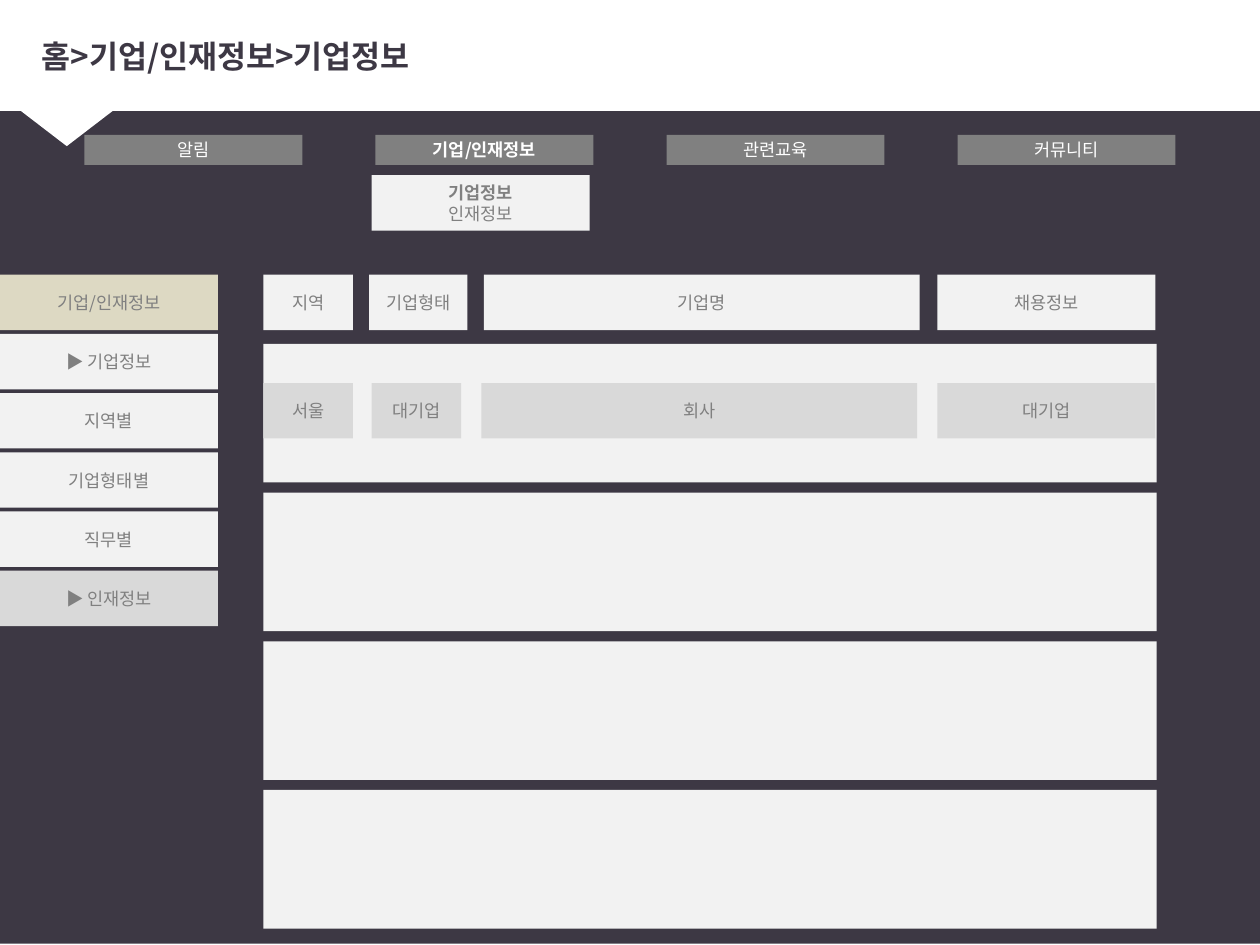
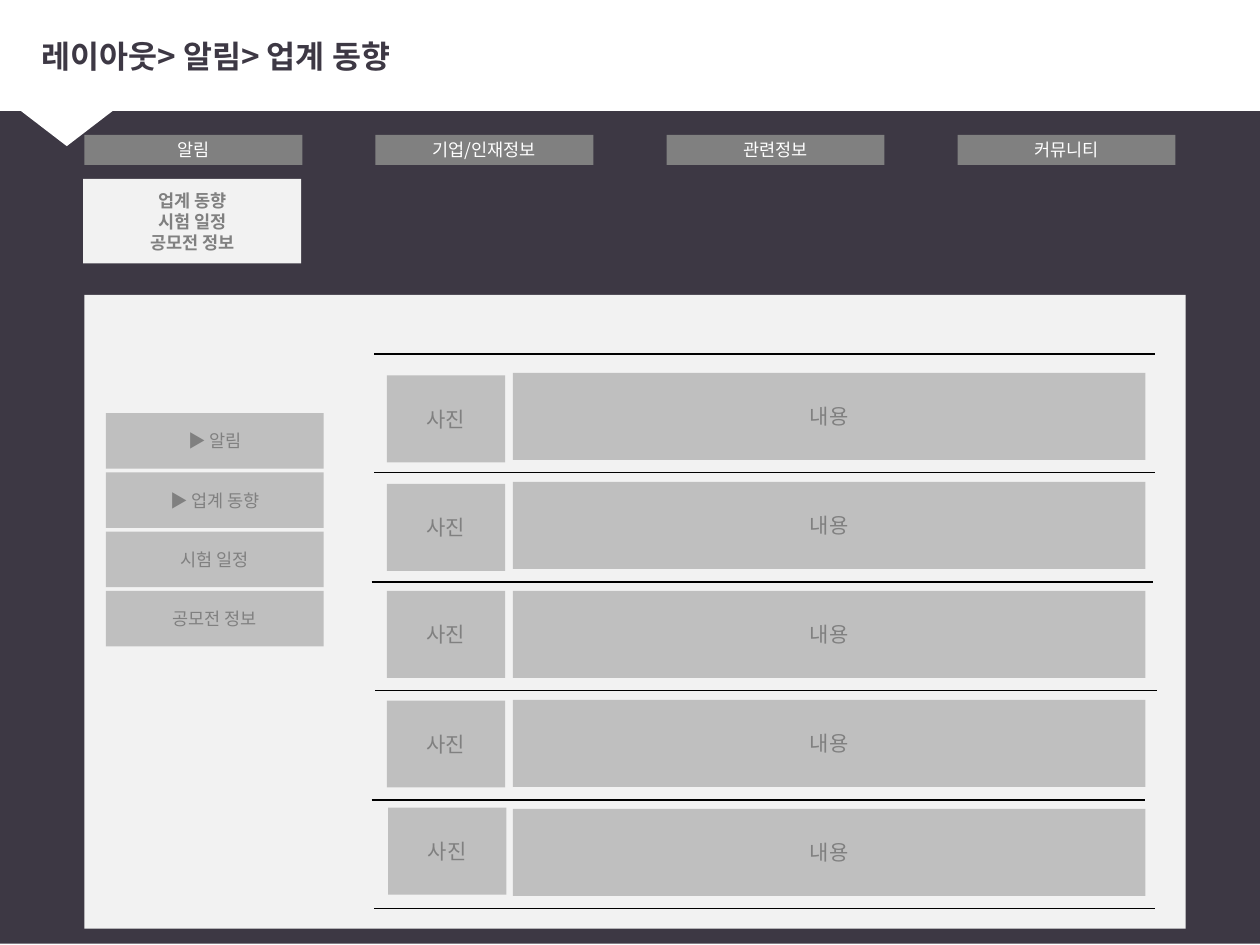
import lxml.etree
import pptx
import pptx.dml.color
import pptx.enum.shapes
import pptx.enum.text
import pptx.oxml.ns
import pptx.util

RGBColor = pptx.dml.color.RGBColor
Inches = pptx.util.Inches
Shape = pptx.enum.shapes.MSO_SHAPE
Align = pptx.enum.text.PP_ALIGN

DARK = RGBColor(0x3D, 0x38, 0x44)
WHITE = RGBColor(0xFF, 0xFF, 0xFF)
BLACK = RGBColor(0x00, 0x00, 0x00)
GRAY = RGBColor(0x80, 0x80, 0x80)
PANEL = RGBColor(0xF2, 0xF2, 0xF2)
LIGHT = RGBColor(0xD9, 0xD9, 0xD9)
MEDIUM = RGBColor(0xBF, 0xBF, 0xBF)
BEIGE = RGBColor(0xDD, 0xD9, 0xC3)
FONT = "Noto Sans CJK KR"

BUTTON_WIDTH = 1.73
BUTTON_HEIGHT = 0.44
MENU_PITCH = 0.47
TAB_LEFT, TAB_PITCH = 0.67, 2.31


def write_text(shape, text, size=10, color=GRAY, bold_lines=(), align=Align.CENTER):
    """Fill a shape with one formatted paragraph for each line of text."""
    frame = shape.text_frame
    frame.word_wrap = True
    frame.auto_size = pptx.enum.text.MSO_AUTO_SIZE.NONE
    frame.vertical_anchor = pptx.enum.text.MSO_ANCHOR.MIDDLE
    for index, line in enumerate(text.split("\n")):
        paragraph = frame.add_paragraph() if index else frame.paragraphs[0]
        paragraph.alignment = align
        run = paragraph.add_run()
        run.text = line
        run.font.size = pptx.util.Pt(size)
        run.font.bold = line in bold_lines
        run.font.color.rgb = color
        run.font.name = FONT
        properties = run._r.get_or_add_rPr()
        east_asian = lxml.etree.SubElement(properties, pptx.oxml.ns.qn("a:ea"))
        east_asian.set("typeface", FONT)


class WireframeDeck:
    """Hold the shared style and the slide being drawn."""

    def __init__(self):
        self.presentation = pptx.Presentation()
        self.presentation.slide_width = Inches(10)
        self.presentation.slide_height = Inches(7.5)
        self.layout = self.presentation.slide_layouts[5]
        self.slide = None

    def start_slide(self, title):
        self.slide = self.presentation.slides.add_slide(self.layout)
        if len(self.presentation.slides) == 1:
            self.style_layout()
        write_text(self.slide.shapes.title, title, size=18, color=DARK,
                   bold_lines=[title], align=Align.LEFT)

    def style_layout(self):
        title = self.layout.placeholders[0]
        title.left, title.top = Inches(0.23), Inches(0.13)
        title.width, title.height = Inches(9.66), Inches(0.62)
        background = self.box(0, -0.01, 10.14, 7.5, DARK)
        header = self.box(-0.03, -0.02, 10.17, 0.9, WHITE)
        pointer = self.box(-0.2, 0.6, 1.46, 0.56, WHITE, kind=Shape.ISOSCELES_TRIANGLE)
        pointer.rotation = 180
        for index, shape in enumerate((background, header, pointer)):
            shape.element.nvSpPr.cNvPr.set("id", str(101 + index))
            self.layout.shapes.element.insert(2 + index, shape.element)

    def box(self, left, top, width, height, fill, text=None, kind=Shape.RECTANGLE, **text_format):
        shape = self.slide.shapes.add_shape(
            kind, Inches(left), Inches(top), Inches(width), Inches(height))
        shape.shadow.inherit = False
        shape.fill.solid()
        shape.fill.fore_color.rgb = fill
        shape.line.fill.background()
        if text:
            write_text(shape, text, **text_format)
        return shape

    def tabs(self, labels, active=None):
        for index, label in enumerate(labels):
            self.box(TAB_LEFT + index * TAB_PITCH, 1.07, BUTTON_WIDTH, 0.24, GRAY, label,
                     color=WHITE, bold_lines=[active])

    def side_menu(self, left, top, entries):
        for index, (label, fill) in enumerate(entries):
            self.box(left, top + index * MENU_PITCH, BUTTON_WIDTH, BUTTON_HEIGHT, fill, label)

    def table_row(self, top, fill, cells):
        for label, left, width in cells:
            self.box(left, top, width, BUTTON_HEIGHT, fill, label)

    def separator(self, left, right, y):
        line = self.slide.shapes.add_connector(
            pptx.enum.shapes.MSO_CONNECTOR.STRAIGHT,
            Inches(left), Inches(y), Inches(right), Inches(y))
        line.line.color.rgb = BLACK
        line.line.width = pptx.util.Pt(0.75)
        lxml.etree.SubElement(line.element.spPr, pptx.oxml.ns.qn("a:effectLst"))


def build_company_slide(deck):
    """Draw the company list page."""
    deck.start_slide("홈>기업/인재정보>기업정보")
    deck.tabs(["알림", "기업/인재정보", "관련교육", "커뮤니티"], active="기업/인재정보")
    deck.box(2.95, 1.39, BUTTON_WIDTH, BUTTON_HEIGHT, PANEL, "기업정보\n인재정보",
             bold_lines=["기업정보"])
    deck.side_menu(0, 2.18, [
        ("기업/인재정보", BEIGE), ("▶ 기업정보", PANEL), ("지역별", PANEL),
        ("기업형태별", PANEL), ("직무별", PANEL), ("▶ 인재정보", LIGHT)])
    deck.table_row(2.18, PANEL, [
        ("지역", 2.09, 0.71), ("기업형태", 2.93, 0.78),
        ("기업명", 3.84, 3.46), ("채용정보", 7.44, 1.73)])
    for index in range(4):
        deck.box(2.09, 2.73 + index * 1.18, 7.09, 1.1, PANEL)
    deck.table_row(3.04, LIGHT, [
        ("서울", 2.09, 0.71), ("대기업", 2.95, 0.71),
        ("회사", 3.82, 3.46), ("대기업", 7.44, 1.73)])


def build_trend_slide(deck):
    """Draw the industry trend page."""
    deck.start_slide("레이아웃> 알림> 업계 동향")
    deck.tabs(["알림", "기업/인재정보", "관련정보", "커뮤니티"])
    topics = ["업계 동향", "시험 일정", "공모전 정보"]
    deck.box(0.66, 1.42, BUTTON_WIDTH, 0.67, PANEL, "\n".join(topics), bold_lines=topics)
    deck.box(0.67, 2.34, 8.74, 5.03, PANEL)
    deck.side_menu(0.84, 3.28, [
        (label, MEDIUM) for label in ("▶ 알림", "▶ 업계 동향", "시험 일정", "공모전 정보")])
    photo_places = [(3.07, 2.98), (3.07, 3.84), (3.07, 4.69), (3.07, 5.56), (3.08, 6.41)]
    for index, (photo_left, photo_top) in enumerate(photo_places):
        deck.box(photo_left, photo_top, 0.94, 0.69, MEDIUM, "사진", size=12)
        deck.box(4.07, 2.96 + index * 3.46 / 4, 5.02, 0.69, MEDIUM, "내용", size=12)
    for left, right, y in [(2.97, 9.17, 2.81), (2.97, 9.17, 3.75), (2.95, 9.15, 4.62),
                           (2.98, 9.18, 5.48), (2.95, 9.09, 6.35), (2.97, 9.17, 7.21)]:
        deck.separator(left, right, y)


def main():
    """Build both pages and save them."""
    deck = WireframeDeck()
    build_company_slide(deck)
    build_trend_slide(deck)
    deck.presentation.save("out.pptx")


if __name__ == "__main__":
    main()
